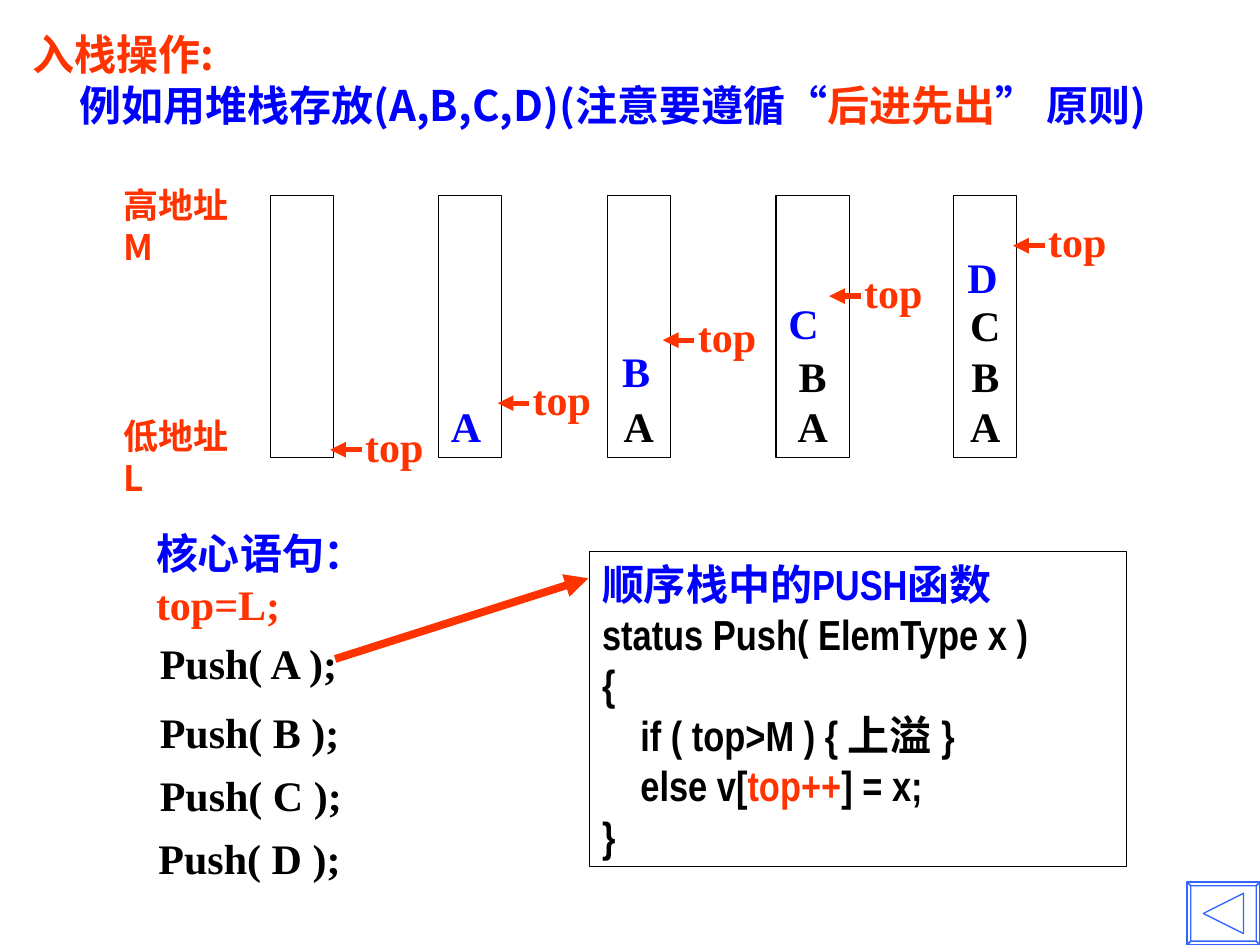
from dataclasses import dataclass
from typing import NamedTuple

from lxml import etree
from pptx import Presentation
from pptx.dml.color import RGBColor
from pptx.enum.shapes import MSO_CONNECTOR, MSO_SHAPE
from pptx.enum.text import MSO_ANCHOR, MSO_AUTO_SIZE, PP_ALIGN
from pptx.oxml.ns import qn
from pptx.util import Inches, Pt

RECTANGLE = MSO_SHAPE.RECTANGLE
STRAIGHT = MSO_CONNECTOR.STRAIGHT
TOP, MIDDLE, BOTTOM = MSO_ANCHOR.TOP, MSO_ANCHOR.MIDDLE, MSO_ANCHOR.BOTTOM
LEFT, CENTER, JUSTIFY = PP_ALIGN.LEFT, PP_ALIGN.CENTER, PP_ALIGN.JUSTIFY
NO_AUTOFIT = MSO_AUTO_SIZE.NONE

SERIF, NARROW, HAN = "Times New Roman", "Arial Narrow", "Noto Sans CJK SC"
RED, BLUE, BLACK, BUTTON_BLUE = "FF3300", "0000FF", "000000", "3366FF"

# The slide is a grid of square cells
COLUMNS, ROWS = 100, 75
LINE_PITCH = 1.2


class Run(NamedTuple):
    text: str
    color: str = BLACK


class Box(NamedTuple):
    col: float
    row: float
    cols: float
    rows: float


@dataclass
class Stack:
    col: float
    cols: float
    kept: str             # elements already stored, uppermost first
    pushed: str           # element stored by this step
    pushed_at: tuple[float, float]
    pointer: tuple[float, float]


STACKS = [
    Stack(21.5, 5, "", "", (0, 0), (26.2, 35.7)),
    Stack(34.8, 5, "", "A", (34.8, 31.3), (39.5, 32)),
    Stack(48.2, 5, "A", "B", (48.4, 26.9), (52.6, 27)),
    Stack(61.6, 5.8, "BA", "C", (61.6, 23.1), (65.8, 23.5)),
    Stack(75.7, 5, "CBA", "D", (75.8, 19.5), (80.4, 19.5)),
]
STACK_ROW, STACK_ROWS = 15.5, 20.8

PUSH_CODE = [
    [Run("顺序栈中的PUSH函数", BLUE)],
    [Run("status Push( ElemType x )")],
    [Run("{")],
    [Run("    if ( top>M ) { 上溢 }")],
    [Run("    else v["), Run("top++", RED), Run("] = x;")],
    [Run("}")],
]


def cells(count: float) -> int:
    return Inches(count / 10)


def rgb(hex_color: str) -> RGBColor:
    return RGBColor.from_string(hex_color)


def write(shape, paragraphs: list[list[Run]], font: str = SERIF, size: float = 24,
          align=LEFT, anchor=TOP, wrap: bool = False) -> None:
    frame = shape.text_frame
    frame.word_wrap = wrap
    frame.auto_size = NO_AUTOFIT
    frame.vertical_anchor = anchor
    for index, runs in enumerate(paragraphs):
        paragraph = frame.paragraphs[0] if index == 0 else frame.add_paragraph()
        paragraph.alignment = align
        paragraph.line_spacing = Pt(size * LINE_PITCH)
        paragraph.space_before = Pt(0)
        for part in runs:
            run = paragraph.add_run()
            run.text = part.text
            run.font.name, run.font.size, run.font.bold = font, Pt(size), True
            run.font.color.rgb = rgb(part.color)
            east_asian = etree.SubElement(run.font._element, qn("a:ea"))
            east_asian.set("typeface", HAN)


def add_text(slide, box: Box, paragraphs: list[list[Run]], **style) -> None:
    write(slide.shapes.add_textbox(*map(cells, box)), paragraphs, **style)


def outline(shape, color: str = BLACK) -> None:
    shape.shadow.inherit = False
    shape.fill.background()
    shape.line.color.rgb = rgb(color)
    shape.line.width = Pt(0.75)


def add_frame(slide, box: Box):
    frame = slide.shapes.add_shape(RECTANGLE, *map(cells, box))
    outline(frame)
    return frame


def add_arrow(slide, start: tuple[float, float], end: tuple[float, float],
              width: float) -> None:
    arrow = slide.shapes.add_connector(STRAIGHT, *map(cells, start + end))
    arrow.line.color.rgb = rgb(RED)
    arrow.line.width = Pt(width)
    line = arrow.line._get_or_add_ln()
    etree.SubElement(line, qn("a:tailEnd")).set("type", "triangle")
    etree.SubElement(arrow._element.spPr, qn("a:effectLst"))


def add_stack(slide, stack: Stack) -> None:
    frame = add_frame(slide, Box(stack.col, STACK_ROW, stack.cols, STACK_ROWS))
    if stack.kept:
        write(frame, [[Run(element)] for element in stack.kept],
              align=CENTER, anchor=BOTTOM)
    if stack.pushed:
        add_text(slide, Box(*stack.pushed_at, 4.4, 5), [[Run(stack.pushed, BLUE)]])
    col, row = stack.pointer
    add_arrow(slide, (col + 2.5, row), (col, row), 3)
    add_text(slide, Box(col + 1.8, row - 2.85, 6.6, 5), [[Run("top", RED)]])


def corners(box: Box, inset: float = 0) -> list[tuple[float, float]]:
    left, top = box.col + inset, box.row + inset
    right, bottom = box.col + box.cols - inset, box.row + box.rows - inset
    return [(left, top), (right, top), (right, bottom), (left, bottom)]


def add_back_button(slide, box: Box) -> None:
    outer, inner = corners(box), corners(box, 0.3)
    bevels = [[outer[i - 1], outer[i], inner[i], inner[i - 1]] for i in range(4)]
    middle = box.row + box.rows / 2
    triangle = [(98.7, middle - 1.6), (95.5, middle), (98.7, middle + 1.6)]
    contours = [[tuple(map(cells, point)) for point in contour]
                for contour in [outer, *bevels, triangle]]
    builder = slide.shapes.build_freeform(*contours[0][0])
    for contour in contours:
        builder.move_to(*contour[0])
        builder.add_line_segments(contour[1:], close=True)
    outline(builder.convert_to_shape(), BUTTON_BLUE)


def main() -> None:
    deck = Presentation()
    deck.slide_width, deck.slide_height = cells(COLUMNS), cells(ROWS)
    slide = deck.slides.add_slide(deck.slide_layouts[5])

    # Title, with its second line indented
    title = slide.shapes.title
    title.left, title.top, title.width, title.height = map(
        cells, Box(1.6, 1.3, 96.5, 10))
    write(title, [
        [Run("入栈操作:", RED)],
        [Run("例如用堆栈存放(A,B,C,D)(注意要遵循“", BLUE), Run("后进先出", RED),
         Run("” 原则)", BLUE)],
    ], font=HAN, anchor=MIDDLE, wrap=True)
    example = title.text_frame.paragraphs[1]
    example._p.get_or_add_pPr().set("marL", str(cells(3.7)))

    # Stack after each step, between the high and low addresses
    for label, row in (("高地址M", 14.1), ("低地址L", 32.4)):
        add_text(slide, Box(8.8, row, 11.5, 7.7), [[Run(label, RED)]],
                 font=HAN, size=20, wrap=True)
    for stack in STACKS:
        add_stack(slide, stack)

    # Core statements
    add_text(slide, Box(11.4, 41.4, 22.4, 9),
             [[Run("核心语句：", BLUE)], [Run("top=L;", RED)]], wrap=True)
    for element, col, row in (("A", 11.7, 50.1), ("B", 11.7, 55.6),
                              ("C", 11.7, 60.6), ("D", 11.6, 65.6)):
        add_text(slide, Box(col, row, 16.4, 5), [[Run(f"Push( {element} );")]])

    # Push function
    write(add_frame(slide, Box(46.8, 43.8, 42.6, 25)), PUSH_CODE,
          font=NARROW, align=JUSTIFY, wrap=True)
    add_arrow(slide, (26.6, 52.3), (46.7, 45.9), 4.5)

    add_back_button(slide, Box(94.2, 70, 5.8, 5))
    deck.save("out.pptx")


if __name__ == "__main__":
    main()
